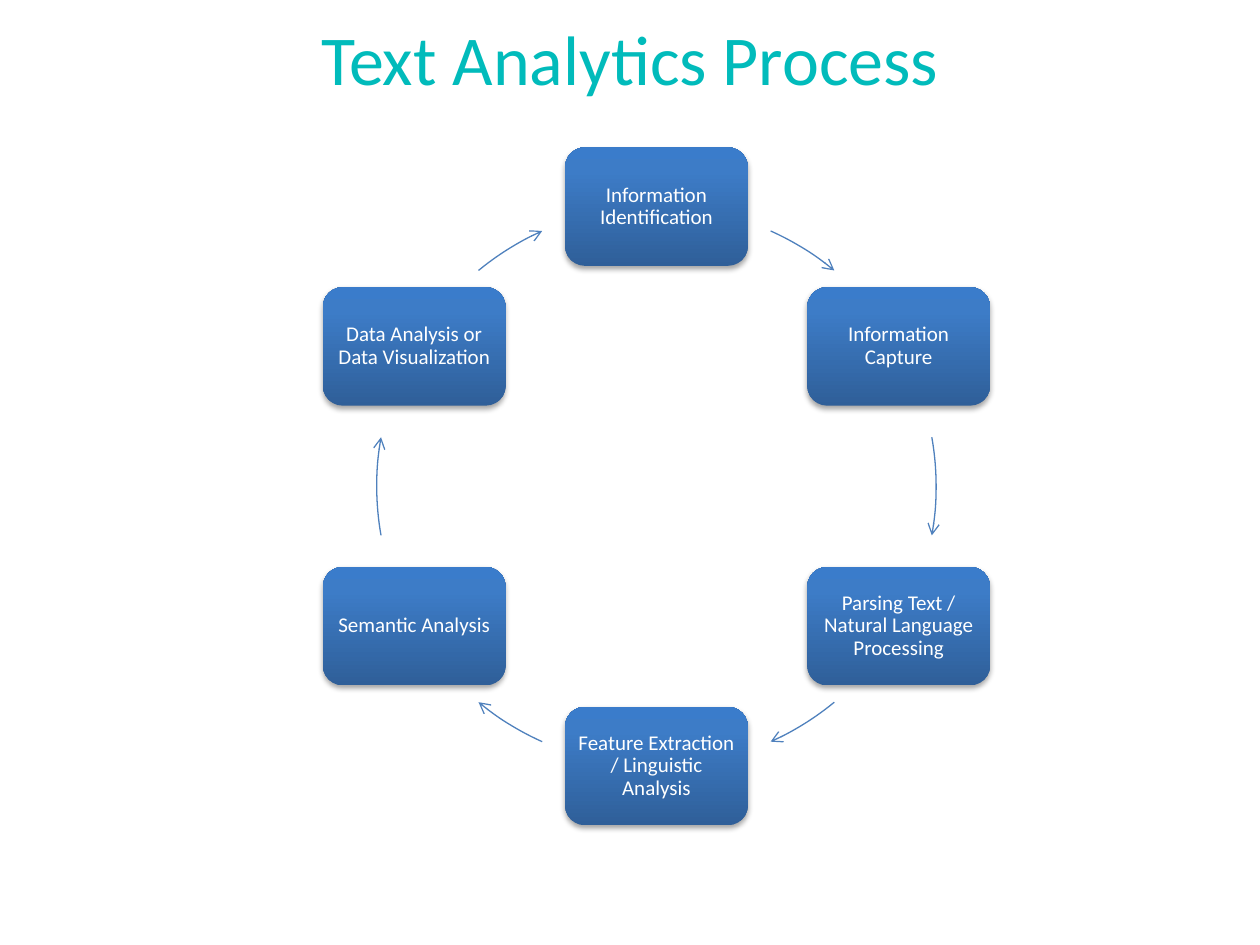
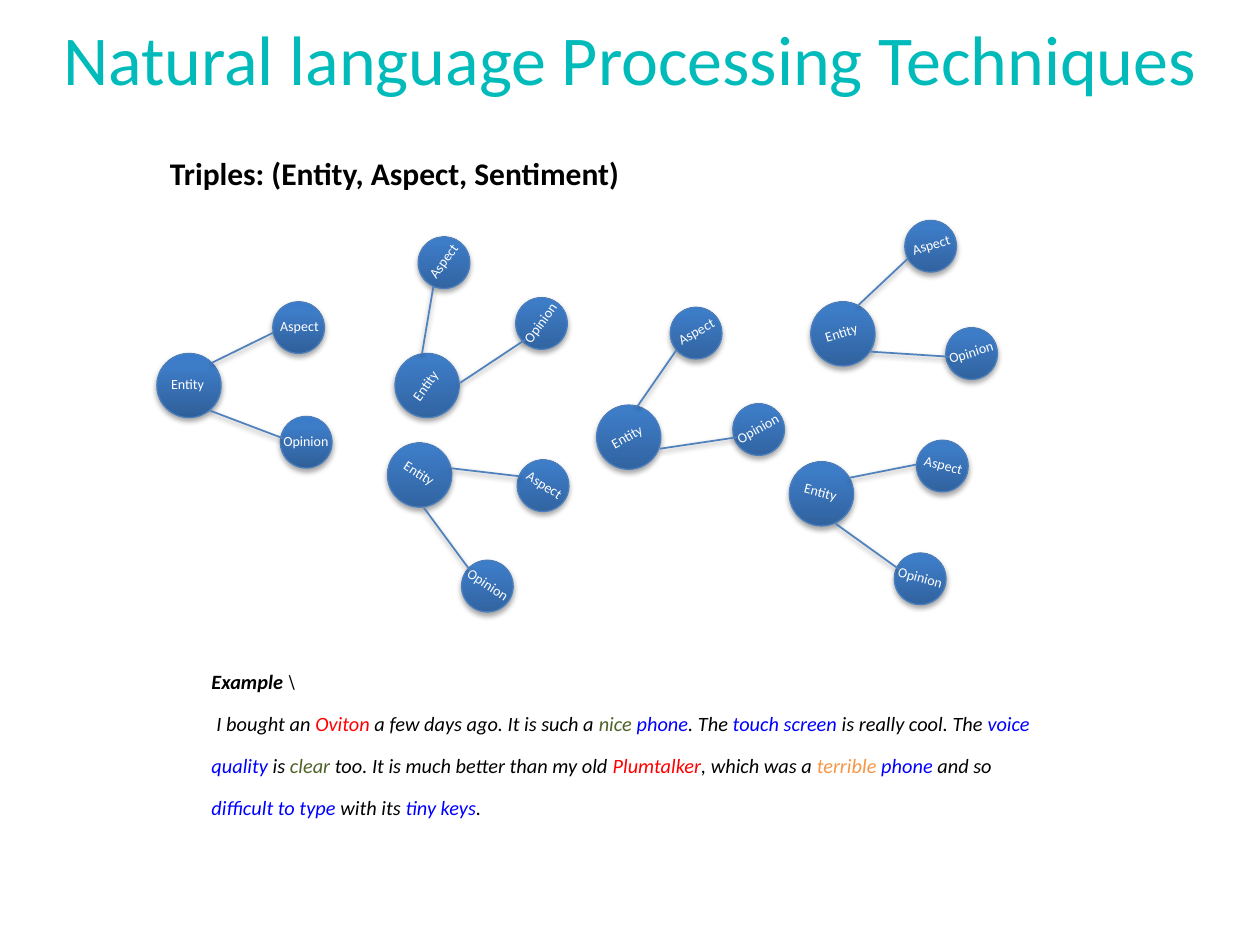
from math import cos, radians, sin

from lxml import etree
from pptx import Presentation
from pptx.dml.color import RGBColor
from pptx.enum.shapes import MSO_CONNECTOR, MSO_SHAPE
from pptx.enum.text import MSO_ANCHOR, MSO_AUTO_SIZE, PP_ALIGN
from pptx.oxml import parse_xml
from pptx.oxml.ns import nsdecls, qn
from pptx.util import Inches, Pt

# Shared look
FONT = "Calibri"
TEAL, WHITE, BLACK = "01BBBB", "FFFFFF", "000000"
LINE_BLUE, RIM_BLUE = "4F81BD", "4B7EBC"
RED, GREEN, BLUE, ORANGE = "FF0000", "4F6228", "0000FF", "F79646"
GRADIENT = [(0, "2F5F99"), (80, "3D7CC7"), (100, "3A7CCB")]

# Slide 1: steps clockwise from the top, arrows as (middle angle, half sweep)
STEPS = [
    "Information Identification",
    "Information Capture",
    "Parsing Text / Natural Language Processing",
    "Feature Extraction / Linguistic Analysis",
    "Semantic Analysis",
    "Data Analysis or Data Visualization",
]
CYCLE_X, CYCLE_Y, CYCLE_RADIUS = 5.21, 3.86, 2.22
STEP_WIDTH, STEP_HEIGHT = 1.45, 0.94
ARROWS = [(-58.2, 7.7), (0, 10.1), (58.2, 7.7),
          (121.8, 7.7), (180, 10.1), (238.2, 7.7)]

# Slide 2: each cluster as (entity centre x, y, rotation in degrees)
CLUSTERS = [
    (6.52, 3.92, 14.9),
    (3.39, 3.06, -54.3),
    (4.99, 3.47, -29.2),
    (6.69, 2.65, -17.1),
    (3.33, 3.77, 32.8),
    (1.5, 3.06, 0),
]
# Offsets from the entity centre before rotation:
# label, disc centre, diameter, label centre, label width
DISCS = [
    ("Entity", (0, 0), 0.51, (0.01, -0.01), 0.5),
    ("Aspect", (0.87, -0.46), 0.41, (0.89, -0.47), 0.53),
    ("Opinion", (0.93, 0.45), 0.41, (0.97, 0.44), 0.64),
]
LINKS = [((0.18, -0.18), (0.67, -0.42)), ((0.17, 0.2), (0.75, 0.42))]
EXAMPLE = [
    ("I bought an ", BLACK), ("Oviton", RED),
    (" a few days ago. It is such a ", BLACK), ("nice ", GREEN),
    ("phone", BLUE), (". The ", BLACK), ("touch screen ", BLUE),
    ("is really cool. The ", BLACK), ("voice quality ", BLUE),
    ("is ", BLACK), ("clear", GREEN),
    (" too. It is much better than my old ", BLACK), ("Plumtalker", RED),
    (", which was a ", BLACK), ("terrible ", ORANGE), ("phone", BLUE),
    (" and so ", BLACK), ("difficult to type ", BLUE),
    ("with its ", BLACK), ("tiny keys", BLUE), (".", BLACK),
]


def color(value):
    return RGBColor.from_string(value)


def style(font, size, value, bold=False, italic=False):
    font.name, font.size = FONT, Pt(size)
    font.bold, font.italic = bold, italic
    font.color.rgb = color(value)


def add_shadow(shape, opacity, distance):
    """Put a soft shadow below a shape or connector."""
    properties = shape._element.spPr
    effects = properties.find(qn("a:effectLst"))
    if effects is None:
        effects = etree.SubElement(properties, qn("a:effectLst"))
    effects.append(parse_xml(
        f'<a:outerShdw {nsdecls("a")} blurRad="{Pt(3.1)}" dist="{Pt(distance)}" '
        f'dir="5400000" rotWithShape="0"><a:srgbClr val="{BLACK}">'
        f'<a:alpha val="{opacity * 1000}"/></a:srgbClr></a:outerShdw>'))


def add_glossy(page, kind, x, y, width, height):
    """Add a centred shape with the blue gradient and shadow."""
    shape = page.shapes.add_shape(
        kind, Inches(x - width / 2), Inches(y - height / 2),
        Inches(width), Inches(height))
    shape.fill.solid()
    stops = "".join(f'<a:gs pos="{place * 1000}"><a:srgbClr val="{value}"/></a:gs>'
                    for place, value in GRADIENT)
    properties = shape._element.spPr
    properties.replace(properties.find(qn("a:solidFill")), parse_xml(
        f'<a:gradFill {nsdecls("a")} rotWithShape="0"><a:gsLst>{stops}</a:gsLst>'
        f'<a:lin ang="16200000" scaled="0"/></a:gradFill>'))
    shape.line.fill.background()
    shape.shadow.inherit = False
    add_shadow(shape, 35, 1.8)
    return shape


def add_text(page, x, y, width, height, text, size, value, bold=False, wrap=True):
    box = page.shapes.add_textbox(Inches(x), Inches(y), Inches(width), Inches(height))
    frame = box.text_frame
    frame.word_wrap = wrap
    frame.auto_size = MSO_AUTO_SIZE.SHAPE_TO_FIT_TEXT
    frame.text = text
    style(frame.paragraphs[0].runs[0].font, size, value, bold)
    return box


def add_page(deck, title):
    page = deck.slides.add_slide(deck.slide_layouts[6])
    frame = add_text(page, 0, 0, 10, 0.92, title, 40, TEAL).text_frame
    frame.auto_size = MSO_AUTO_SIZE.NONE
    frame.vertical_anchor = MSO_ANCHOR.MIDDLE
    frame.paragraphs[0].alignment = PP_ALIGN.CENTER
    return page


def add_step(page, index, text):
    angle = radians(60 * index - 90)
    shape = add_glossy(page, MSO_SHAPE.ROUNDED_RECTANGLE,
                       CYCLE_X + CYCLE_RADIUS * cos(angle),
                       CYCLE_Y + CYCLE_RADIUS * sin(angle), STEP_WIDTH, STEP_HEIGHT)
    frame = shape.text_frame
    frame.word_wrap = True
    frame.vertical_anchor = MSO_ANCHOR.MIDDLE
    frame.margin_left = frame.margin_right = Inches(0.05)
    frame.margin_top = frame.margin_bottom = Inches(0.05)
    frame.text = text
    para = frame.paragraphs[0]
    para.alignment, para.line_spacing = PP_ALIGN.CENTER, 0.9
    style(para.runs[0].font, 12, WHITE)


def add_arc_arrow(page, middle, half_sweep):
    size = Inches(2 * CYCLE_RADIUS)
    arc = page.shapes.add_shape(MSO_SHAPE.ARC, Inches(CYCLE_X - CYCLE_RADIUS),
                                Inches(CYCLE_Y - CYCLE_RADIUS), size, size)
    # Adjustments count 60000ths of a degree, divided by 100000
    for index, angle in enumerate((middle - half_sweep, middle + half_sweep)):
        arc.adjustments[index] = angle % 360 * 0.6
    arc.fill.background()
    arc.shadow.inherit = False
    arc.line.color.rgb, arc.line.width = color(LINE_BLUE), Pt(0.75)
    etree.SubElement(arc.line._get_or_add_ln(), qn("a:tailEnd"), type="arrow")


def add_cluster(page, x, y, rotation):
    turn = radians(rotation)

    def place(offset):
        across, down = offset
        return (x + across * cos(turn) - down * sin(turn),
                y + across * sin(turn) + down * cos(turn))

    for label, center, diameter, label_center, label_width in DISCS:
        disc = add_glossy(page, MSO_SHAPE.OVAL, *place(center), diameter, diameter)
        disc.rotation = rotation
        disc.line.color.rgb, disc.line.width = color(RIM_BLUE), Pt(0.75)
        label_x, label_y = place(label_center)
        box = add_text(page, label_x - label_width / 2, label_y - 0.12,
                       label_width, 0.24, label, 8, WHITE, wrap=False)
        box.rotation = rotation
    for start, end in LINKS:
        ends = [Inches(value) for value in place(start) + place(end)]
        link = page.shapes.add_connector(MSO_CONNECTOR.STRAIGHT, *ends)
        link.line.color.rgb, link.line.width = color(LINE_BLUE), Pt(1)
        add_shadow(link, 38, 1.6)


def add_example(page):
    frame = add_text(page, 1.58, 5.23, 6.83, 1, "Example", 20, BLACK, True).text_frame
    heading, body = frame.paragraphs[0], frame.add_paragraph()
    heading.runs[0].font.italic = True
    slash = heading.add_run()
    slash.text = " \\"
    style(slash.font, 20, BLACK, italic=True)
    body._p.get_or_add_pPr().set("indent", str(Inches(0.04)))
    for text, value in EXAMPLE:
        span = body.add_run()
        span.text = text
        style(span.font, 20, value, italic=True)
    for span in heading.runs + body.runs:
        span.font._element.set("baseline", "30000")


def main():
    deck = Presentation()
    deck.slide_width, deck.slide_height = Inches(10), Inches(7.5)

    # Process cycle
    page = add_page(deck, "Text Analytics Process")
    for index, text in enumerate(STEPS):
        add_step(page, index, text)
        add_arc_arrow(page, *ARROWS[index])

    # Triples and example
    page = add_page(deck, "Natural language Processing Techniques")
    for cluster in CLUSTERS:
        add_cluster(page, *cluster)
    add_example(page)
    add_text(page, 1.25, 1.17, 4.08, 0.4,
             "Triples: (Entity, Aspect, Sentiment)", 18, BLACK, True)

    deck.save("out.pptx")


if __name__ == "__main__":
    main()
